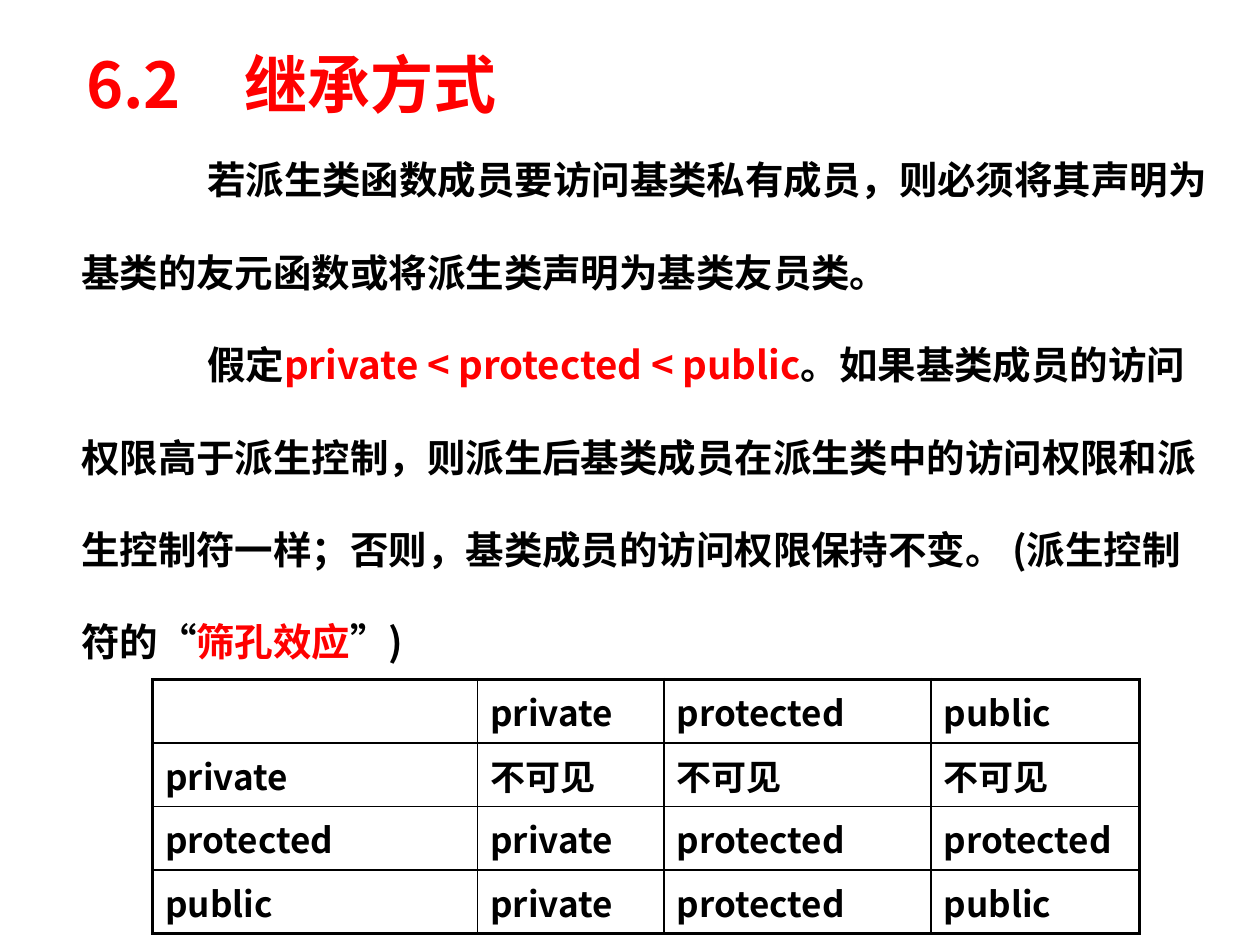
from lxml.etree import SubElement
from pptx import Presentation
from pptx.dml.color import RGBColor
from pptx.enum.text import MSO_ANCHOR
from pptx.oxml.ns import qn
from pptx.util import Cm, Pt

BLACK, RED = "000000", "FF0000"
BODY_FONT, TITLE_FONT = "Noto Sans CJK JP", "Noto Sans CJK SC"


def set_font(font, size, color=BLACK, name=BODY_FONT):
    """Set a bold font for both Latin and East Asian text."""
    font.size, font.bold, font.name = Pt(size), True, name
    font.color.rgb = RGBColor.from_string(color)
    SubElement(font._element, qn("a:ea"), typeface=name)


def add_border(cell, side, width):
    properties = cell._tc.get_or_add_tcPr()
    line = SubElement(properties, qn(f"a:ln{side}"), w=str(Pt(width)))
    fill = SubElement(line, qn("a:solidFill"))
    SubElement(fill, qn("a:srgbClr"), val=BLACK)


presentation = Presentation()
presentation.slide_width, presentation.slide_height = Cm(25.4), Cm(19.05)
slide = presentation.slides.add_slide(presentation.slide_layouts[6])

# Title
title = slide.shapes.add_textbox(Cm(1.49), Cm(0.52), Cm(21.6), Cm(2.34)).text_frame
title.word_wrap = True
title.vertical_anchor = MSO_ANCHOR.MIDDLE
title.text = "6.2　继承方式"
set_font(title.paragraphs[0].font, 36, RED, TITLE_FONT)

# Body: each run is text, size, colour
body_paragraphs = [
    [
        ("\t", 24, BLACK),
        ("若派生类函数成员要访问基类私有成员，则必须将其声明为"
         "基类的友元函数或将派生类声明为基类友员类。", 22, BLACK),
    ],
    [
        ("\t假定", 22, BLACK),
        ("private < protected < public", 22, RED),
        ("。如果基类成员的访问权限高于派生控制，则派生后基类成员在派生类中的"
         "访问权限和派生控制符一样；否则，基类成员的访问权限保持不变。 "
         "(派生控制符的“", 22, BLACK),
        ("筛孔效应", 22, RED),
        ("”)", 22, BLACK),
    ],
]
body = slide.shapes.add_textbox(Cm(1.39), Cm(1.93), Cm(23.29), Cm(15.19)).text_frame
body.word_wrap = True
for index, runs in enumerate(body_paragraphs):
    paragraph = body.add_paragraph() if index else body.paragraphs[0]
    paragraph.line_spacing = 2.0
    tab_stops = SubElement(paragraph._p.get_or_add_pPr(), qn("a:tabLst"))
    SubElement(tab_stops, qn("a:tab"), pos=str(Cm(2.54)), algn="l")
    for text, size, color in runs:
        run = paragraph.add_run()
        run.text = text
        set_font(run.font, size, color)

# Access table: base member access by row, derivation control by column
access_rows = [
    ["", "private", "protected", "public"],
    ["private", "不可见", "不可见", "不可见"],
    ["protected", "private", "protected", "protected"],
    ["public", "private", "protected", "public"],
]
column_widths = [6.55, 3.76, 5.38, 4.2]
row_height = 1.28
last = len(access_rows) - 1
table = slide.shapes.add_table(
    len(access_rows), len(column_widths), Cm(3.08), Cm(13.7),
    Cm(sum(column_widths)), Cm(row_height * len(access_rows)),
).table
table.first_row = table.horz_banding = False
for column, width in zip(table.columns, column_widths):
    column.width = Cm(width)
for row_index, texts in enumerate(access_rows):
    table.rows[row_index].height = Cm(row_height)
    for column_index, text in enumerate(texts):
        cell = table.cell(row_index, column_index)
        cell.text = text
        set_font(cell.text_frame.paragraphs[0].font, 20)
        outer_sides = {
            "L": column_index == 0,
            "R": column_index == last,
            "T": row_index == 0,
            "B": row_index == last,
        }
        for side, is_outer in outer_sides.items():
            add_border(cell, side, 2.25 if is_outer else 1)
        cell.fill.background()

presentation.save("out.pptx")
